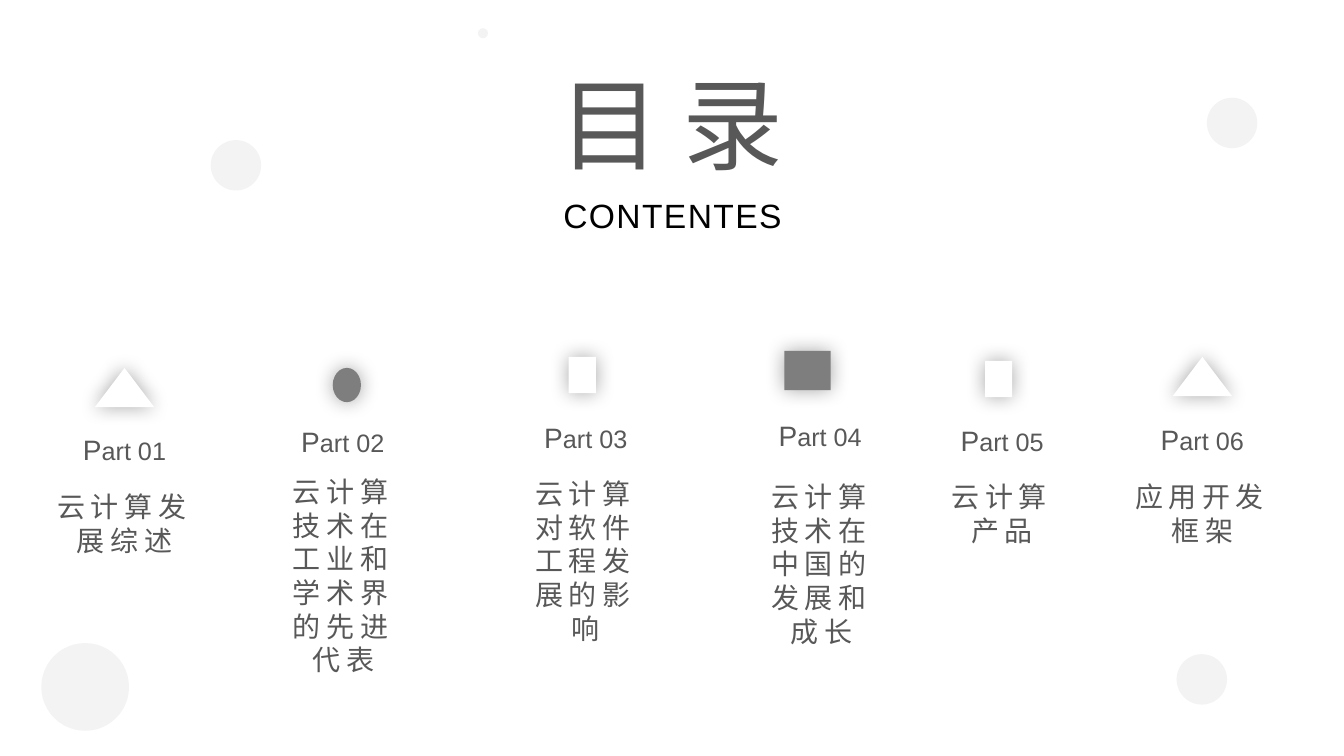
from dataclasses import dataclass

from lxml.etree import SubElement
from pptx import Presentation
from pptx.dml.color import RGBColor
from pptx.enum.shapes import MSO_SHAPE as Shape
from pptx.enum.text import MSO_AUTO_SIZE as AutoSize, PP_ALIGN as Align
from pptx.oxml.ns import qn
from pptx.util import Inches, Pt


@dataclass(frozen=True)
class Theme:
    font: str = "Arial"
    text: str = "585858"
    black: str = "000000"
    white: str = "FFFFFF"
    gray: str = "7E7E7E"
    title: int = 72
    subtitle: int = 24
    body: int = 20
    small: int = 18
    spacing: int = 4
    bubble_alpha: int = 9
    shadow_alpha: int = 35
    shadow_blur: int = 14


THEME = Theme()
TITLE, TITLE_AT = "目 录", (4.1, 0.56, 5.12, 1.31)
SUBTITLE, SUBTITLE_AT = "CONTENTES", (4.25, 1.88, 4.84, 0.5)

TRIANGLE = (Shape.ISOSCELES_TRIANGLE, THEME.white, 0.59, 0.39)
DOT = (Shape.OVAL, THEME.gray, 0.28, 0.34)
CARD = (Shape.RECTANGLE, THEME.white, 0.27, 0.36)
BLOCK = (Shape.RECTANGLE, THEME.gray, 0.46, 0.39)
LABEL_HEIGHT = 0.44
LINE_HEIGHT, TEXT_MARGINS = 0.337, 0.1

# icon, icon (left, top), label (left, top, width), topic (left, top, width), topic lines, topic
PARTS = [
    (TRIANGLE, (0.94, 3.65), (0.6, 4.24, 1.27), (0.41, 4.81, 1.65), 2, "云计算发展综述"),
    (DOT, (3.3, 3.65), (2.86, 4.16, 1.08), (2.7, 4.66, 1.41), 6, "云计算技术在工业和学术界的先进代表"),
    (CARD, (5.64, 3.54), (5.26, 4.12, 1.1), (5.1, 4.68, 1.42), 5, "云计算对软件工程发展的影响"),
    (BLOCK, (7.78, 3.48), (7.51, 4.1, 1.25), (7.51, 4.71, 1.28), 5, "云计算技术在中国的发展和成长"),
    (CARD, (9.77, 3.58), (9.39, 4.15, 1.1), (9.23, 4.71, 1.42), 2, "云计算产品"),
    (TRIANGLE, (11.63, 3.54), (11.29, 4.14, 1.27), (11.1, 4.71, 1.65), 2, "应用开发框架"),
]

# left, top, diameter
BUBBLES = [
    (11.97, 0.97, 0.5),
    (0.41, 6.38, 0.87),
    (4.74, 0.28, 0.1),
    (2.09, 1.39, 0.5),
    (11.67, 6.49, 0.5),
]


def add_text(shapes, at, *pieces, color=THEME.text, spacing=0):
    """Add a centred text box; each piece is (text, size)."""
    box = shapes.add_textbox(*map(Inches, at))
    frame = box.text_frame
    frame.word_wrap = True
    frame.auto_size = AutoSize.SHAPE_TO_FIT_TEXT
    para = frame.paragraphs[0]
    para.alignment = Align.CENTER
    for text, size in pieces:
        span = para.add_run()
        span.text = text
        span.font.name = THEME.font
        span.font.size = Pt(size)
        span.font.color.rgb = RGBColor.from_string(color)
        if spacing:
            span.font._element.set("spc", str(spacing * 100))


def add_figure(shapes, kind, at, color):
    figure = shapes.add_shape(kind, *map(Inches, at))
    figure.shadow.inherit = False
    figure.fill.solid()
    figure.fill.fore_color.rgb = RGBColor.from_string(color)
    figure.line.fill.background()
    return figure


def set_alpha(color_element, percent):
    SubElement(color_element, qn("a:alpha"), val=str(percent * 1000))


def add_glow_shadow(figure):
    """Give the figure a soft shadow spreading evenly on all sides."""
    effects = figure._element.spPr.find(qn("a:effectLst"))
    shadow = SubElement(effects, qn("a:outerShdw"), blurRad=str(Pt(THEME.shadow_blur)),
                        dist="0", dir="0", algn="ctr", rotWithShape="0")
    set_alpha(SubElement(shadow, qn("a:srgbClr"), val=THEME.black), THEME.shadow_alpha)


def add_part(page, number, icon, icon_at, label_at, topic_at, lines, topic):
    shapes = page.shapes.add_group_shape().shapes
    kind, color, width, height = icon
    add_glow_shadow(add_figure(shapes, kind, (*icon_at, width, height), color))
    add_text(shapes, (*label_at, LABEL_HEIGHT),
             ("P", THEME.body), (f"art {number:02}", THEME.small))
    add_text(shapes, (*topic_at, lines * LINE_HEIGHT + TEXT_MARGINS),
             (topic, THEME.body), spacing=THEME.spacing)


def add_bubble(page, left, top, size):
    bubble = add_figure(page.shapes, Shape.OVAL, (left, top, size, size), THEME.gray)
    set_alpha(bubble._element.spPr.find(f".//{qn('a:srgbClr')}"), THEME.bubble_alpha)


def main():
    deck = Presentation()
    deck.slide_width, deck.slide_height = Inches(13.33), Inches(7.5)
    page = deck.slides.add_slide(deck.slide_layouts[6])
    add_text(page.shapes, TITLE_AT, (TITLE, THEME.title))
    add_text(page.shapes, SUBTITLE_AT, (SUBTITLE, THEME.subtitle), color=THEME.black, spacing=1)
    for number, part in enumerate(PARTS, 1):
        add_part(page, number, *part)
    for bubble in BUBBLES:
        add_bubble(page, *bubble)
    deck.save("out.pptx")


if __name__ == "__main__":
    main()
